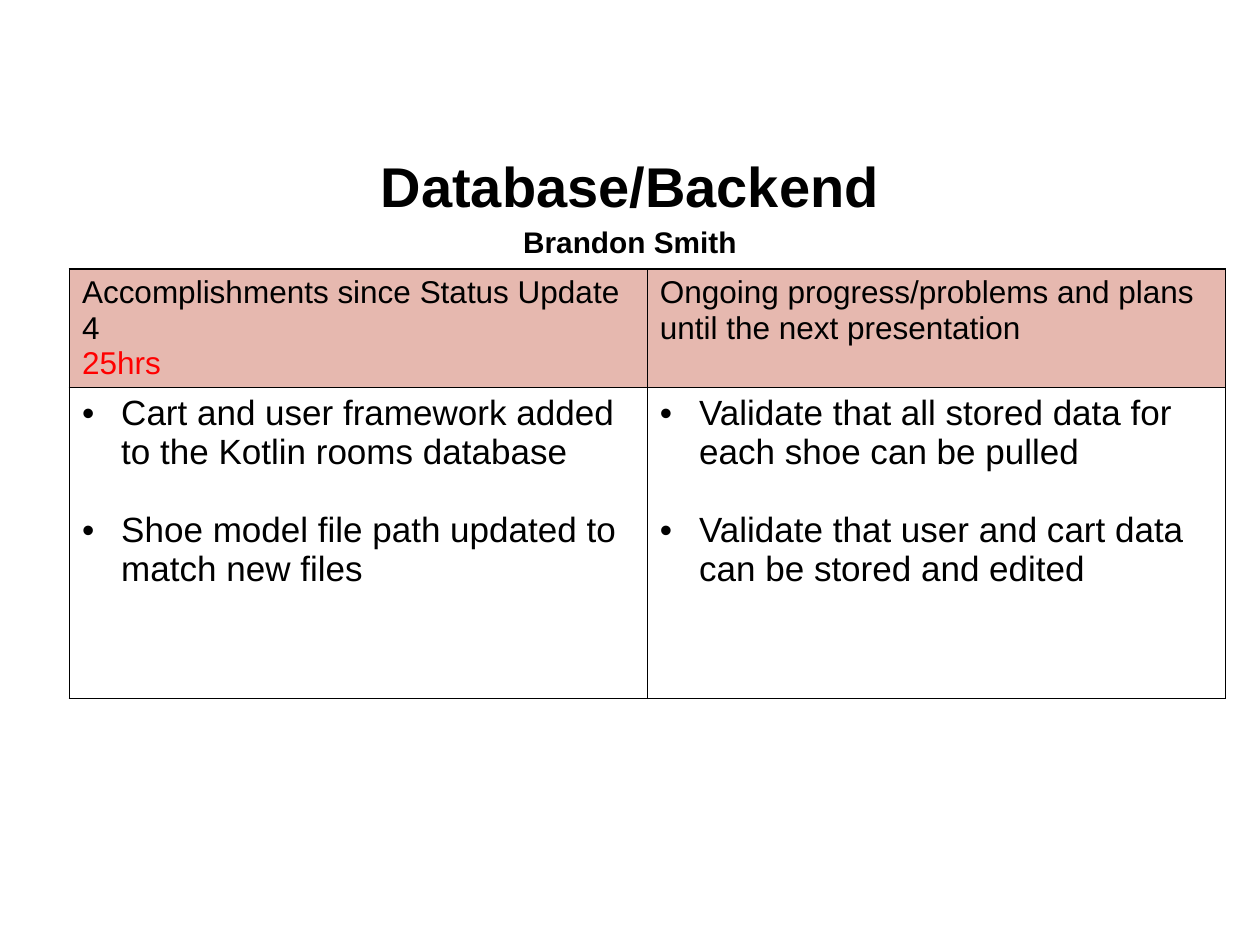
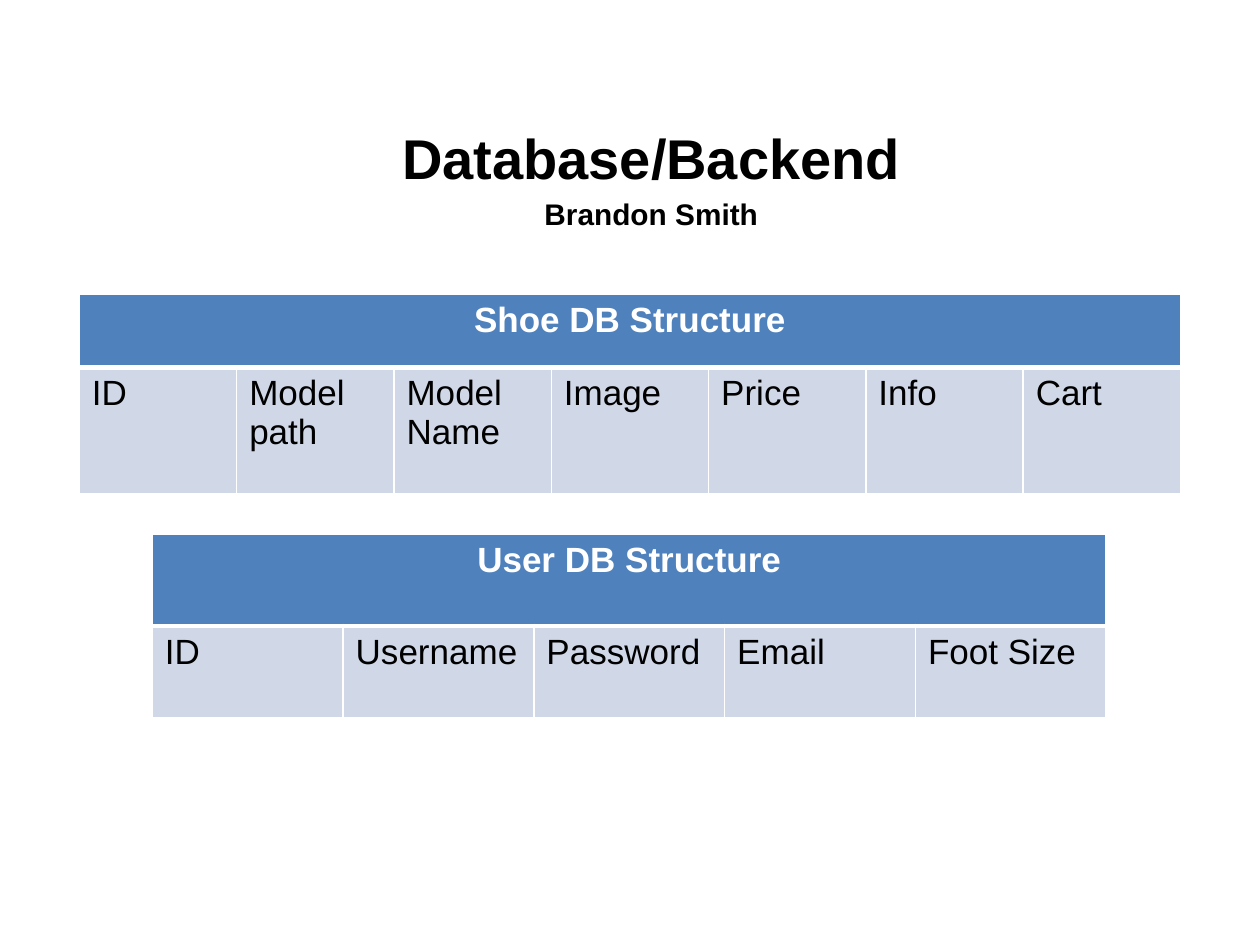
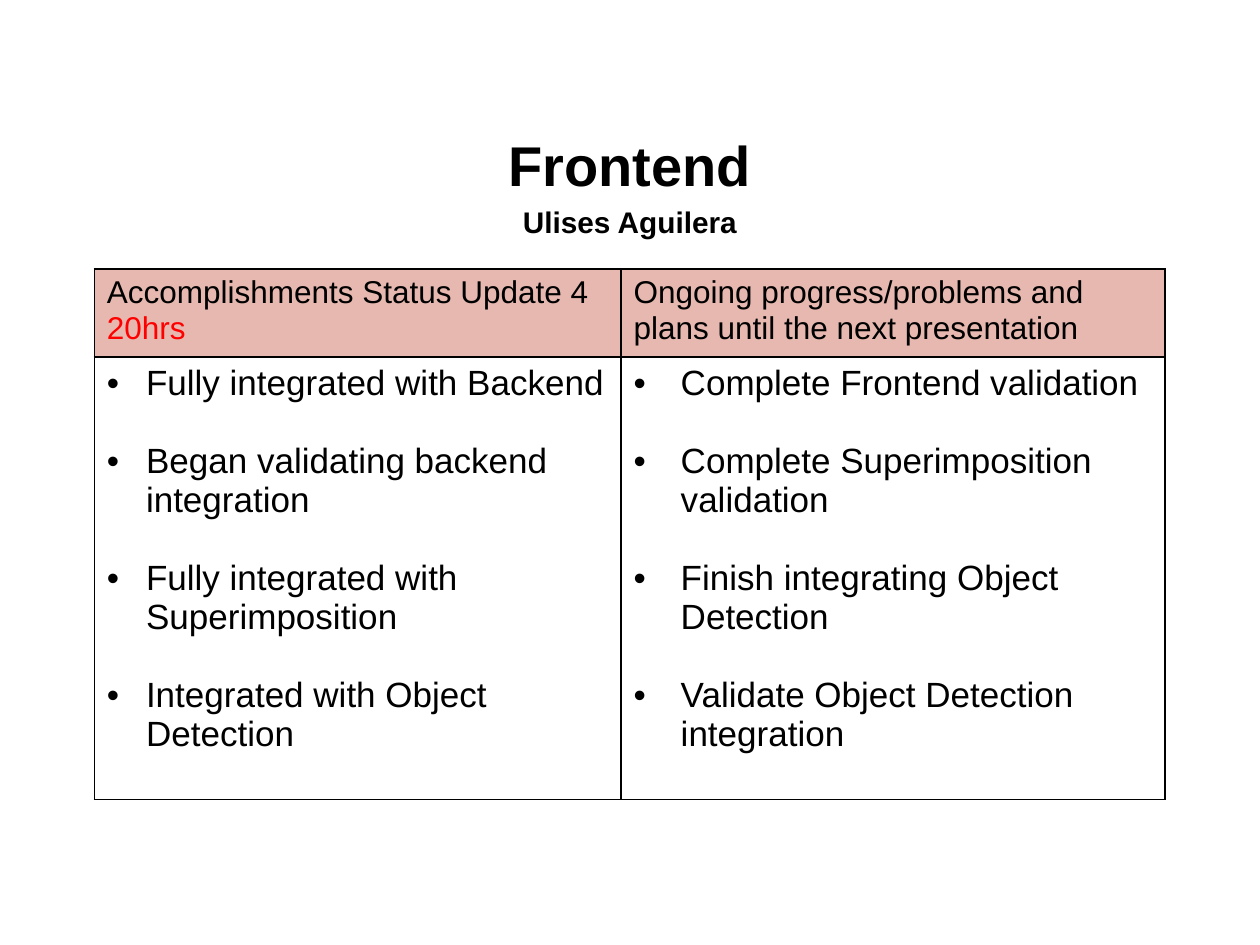
from lxml import etree
from pptx import Presentation
from pptx.dml.color import RGBColor
from pptx.enum.text import MSO_ANCHOR, MSO_AUTO_SIZE, PP_ALIGN
from pptx.oxml.ns import qn
from pptx.util import Cm, Pt

CENTER, LEFT = PP_ALIGN.CENTER, PP_ALIGN.LEFT
MIDDLE, NO_FIT = MSO_ANCHOR.MIDDLE, MSO_AUTO_SIZE.NONE
TITLE_ONLY = 5
FONT = "Arial"
COLORS = {"text": "000000", "hours": "FF0000", "status": "E6B8AF",
          "white": "FFFFFF", "db_head": "4F81BD", "db_field": "D0D8E8"}
PLANS = "Ongoing progress/problems and plans until the next presentation"

SLIDES = [
    {"title": ("Database/Backend", "Brandon Smith"), "title_at": (1.27, 2.92),
     "status": {
         "at": (1.4, 5.42), "cols": (11.65, 11.65), "rows": (2.39, 6.27),
         "heads": (("Accomplishments since Status Update 4", "25hrs"), (PLANS,)),
         "indents": (0.79, 0.79),
         "lists": (
             ("Cart and user framework added to the Kotlin rooms database",
              "Shoe model file path updated to match new files"),
             ("Validate that all stored data for each shoe can be pulled",
              "Validate that user and cart data can be stored and edited"))}},
    {"title": ("Database/Backend", "Brandon Smith"), "title_at": (1.7, 2.36),
     "databases": [
         {"name": "Shoe DB Structure", "at": (1.6, 5.94), "width": 22.2,
          "rows": (1.47, 2.54),
          "fields": ("ID", "Model path", "Model Name", "Image", "Price",
                     "Info", "Cart")},
         {"name": "User DB Structure", "at": (3.07, 10.77), "width": 19.23,
          "rows": (1.85, 1.85),
          "fields": ("ID", "Username", "Password", "Email", "Foot Size")}]},
    {"title": ("Frontend", "Ulises Aguilera"), "title_at": (1.27, 2.51),
     "status": {
         "at": (1.9, 5.42), "cols": (10.62, 10.97), "rows": (1.78, 8.92),
         "heads": (("Accomplishments Status Update 4", "20hrs"), (PLANS,)),
         "indents": (0.79, 0.95),
         "lists": (
             ("Fully integrated with Backend",
              "Began validating backend integration",
              "Fully integrated with Superimposition",
              "Integrated with Object Detection"),
             ("Complete Frontend validation",
              "Complete Superimposition validation",
              "Finish integrating Object Detection",
              "Validate Object Detection integration"))}},
]


def rgb(name):
    return RGBColor.from_string(COLORS[name])


def write(tf, lines, size, color="text", bold=False, align=LEFT):
    for i, line in enumerate(lines):
        p = tf.paragraphs[0] if i == 0 else tf.add_paragraph()
        p.text = line
        p.alignment = align
        p.font.name, p.font.size, p.font.bold = FONT, Pt(size), bold
        p.font.color.rgb = rgb(color)
    return tf.paragraphs


def add_bullet(p, indent):
    pPr = p._p.get_or_add_pPr()
    pPr.set("marL", str(Cm(indent)))
    pPr.set("indent", str(-Cm(indent)))
    font = etree.Element(qn("a:buFont"), typeface=FONT)
    char = etree.Element(qn("a:buChar"), char="•")
    defaults = pPr.find(qn("a:defRPr"))
    defaults.addprevious(font)
    defaults.addprevious(char)


def format_cell(cell, line, fill=None, top=1, bottom=1):
    tcPr = cell._tc.get_or_add_tcPr()
    for side, width in (("L", 1), ("R", 1), ("T", top), ("B", bottom)):
        ln = etree.SubElement(tcPr, qn(f"a:ln{side}"), w=str(Pt(width)))
        solid = etree.SubElement(ln, qn("a:solidFill"))
        etree.SubElement(solid, qn("a:srgbClr"), val=COLORS[line])
    if fill:
        cell.fill.solid()
        cell.fill.fore_color.rgb = rgb(fill)
    else:
        cell.fill.background()


def add_grid(slide, at, cols, rows):
    left, top = at
    table = slide.shapes.add_table(len(rows), len(cols), Cm(left), Cm(top),
                                   Cm(sum(cols)), Cm(sum(rows))).table
    table.first_row = table.horz_banding = False
    for column, width in zip(table.columns, cols):
        column.width = Cm(width)
    for row, height in zip(table.rows, rows):
        row.height = Cm(height)
    return table


def add_title(slide, lines, at):
    sp = slide.shapes.title
    sp.left, sp.top = map(Cm, at)
    sp.width, sp.height = Cm(22.86), Cm(2.24)
    tf = sp.text_frame
    tf.auto_size, tf.vertical_anchor, tf.word_wrap = NO_FIT, MIDDLE, True
    for p, size in zip(write(tf, lines, 32, bold=True, align=CENTER), (32, 17)):
        p.font.size = Pt(size)
        p.line_spacing = 1.15


def add_status(slide, status):
    table = add_grid(slide, status["at"], status["cols"], status["rows"])
    for c, (head, items, indent) in enumerate(
            zip(status["heads"], status["lists"], status["indents"])):
        cell = table.cell(0, c)
        format_cell(cell, "text", "status")
        for p in write(cell.text_frame, head, 18)[1:]:
            p.font.color.rgb = rgb("hours")
        cell = table.cell(1, c)
        format_cell(cell, "text")
        for i, p in enumerate(write(cell.text_frame, items, 20)):
            if i:
                p.space_before = Pt(22.3)
            add_bullet(p, indent)


def add_database(slide, db):
    fields = db["fields"]
    count = len(fields)
    table = add_grid(slide, db["at"], [db["width"] / count] * count, db["rows"])
    for c, field in enumerate(fields):
        format_cell(table.cell(0, c), "white", "db_head", bottom=3)
        format_cell(table.cell(1, c), "white", "db_field", top=3)
        write(table.cell(1, c).text_frame, [field], 20)
    head = table.cell(0, 0)
    head.merge(table.cell(0, count - 1))
    write(head.text_frame, [db["name"]], 20, "white", True, CENTER)


def main():
    prs = Presentation()
    prs.slide_width, prs.slide_height = Cm(25.4), Cm(19.05)
    for content in SLIDES:
        slide = prs.slides.add_slide(prs.slide_layouts[TITLE_ONLY])
        add_title(slide, content["title"], content["title_at"])
        if "status" in content:
            add_status(slide, content["status"])
        for db in content.get("databases", []):
            add_database(slide, db)
    prs.save("out.pptx")


if __name__ == "__main__":
    main()
